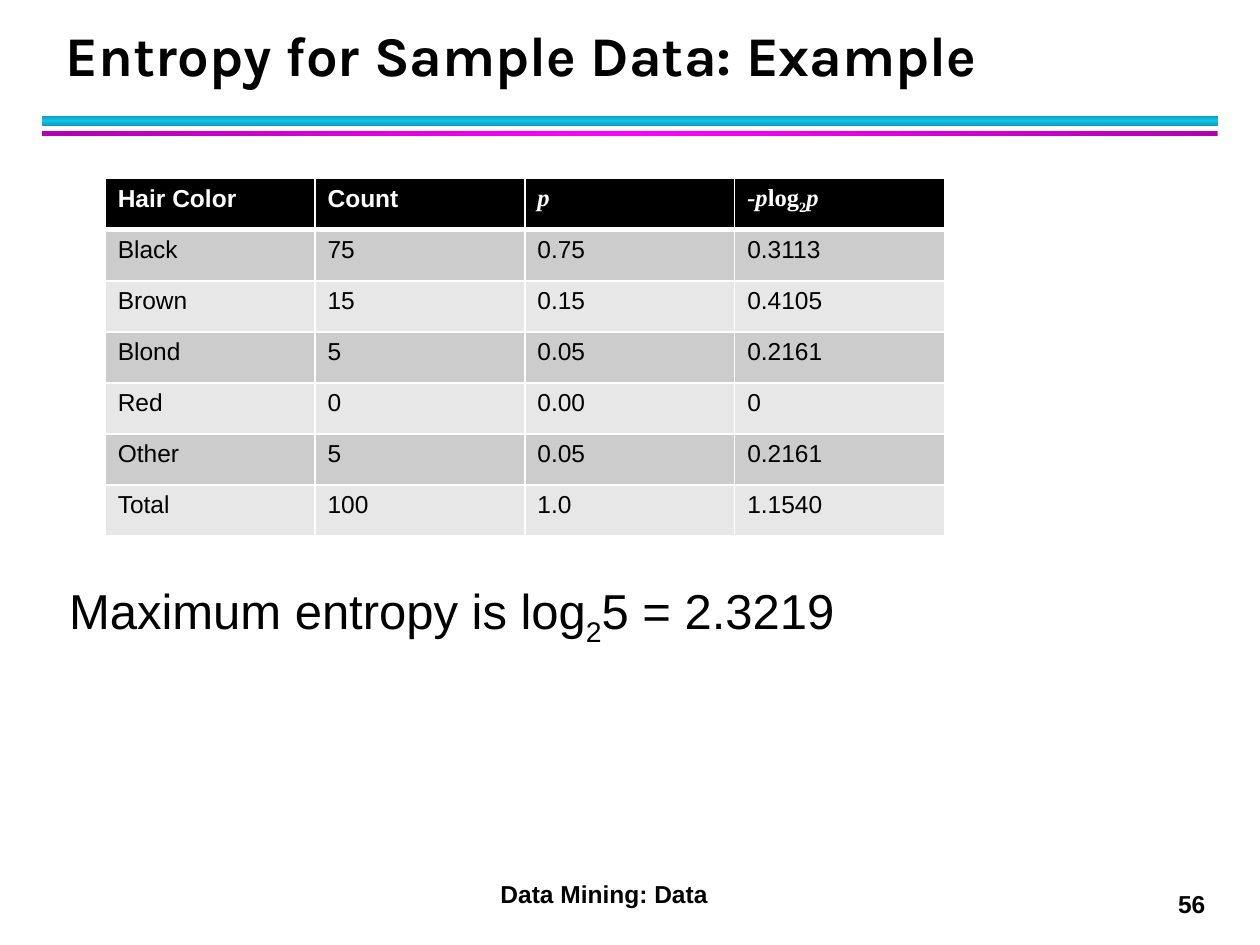
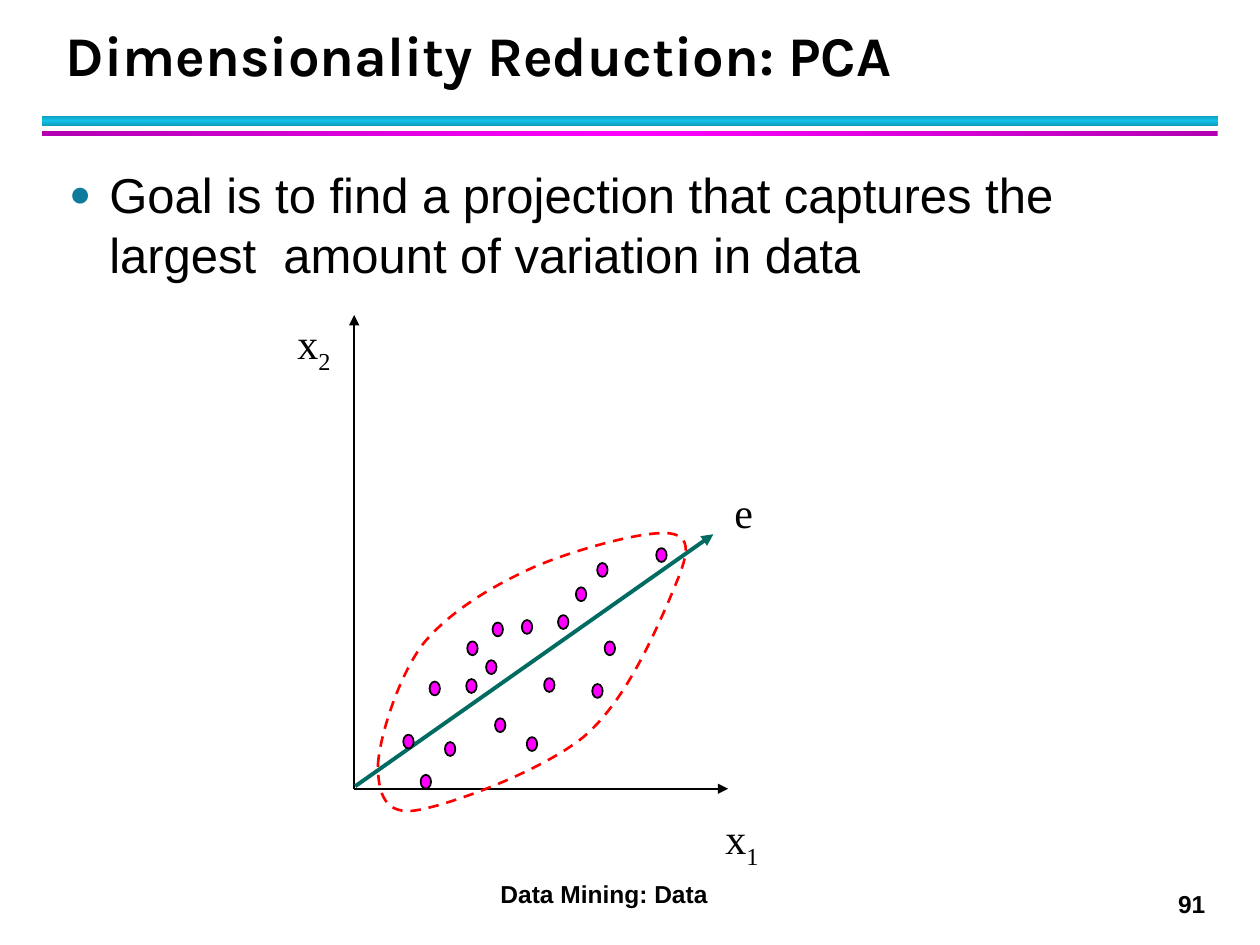
from lxml import etree
from pptx import Presentation
from pptx.dml.color import RGBColor
from pptx.enum.dml import MSO_LINE
from pptx.enum.shapes import MSO_CONNECTOR, MSO_SHAPE
from pptx.enum.text import MSO_ANCHOR, MSO_AUTO_SIZE, PP_ALIGN
from pptx.oxml.ns import qn
from pptx.util import Cm, Pt

RECTANGLE, ELLIPSE = MSO_SHAPE.RECTANGLE, MSO_SHAPE.OVAL
STRAIGHT = MSO_CONNECTOR.STRAIGHT
LEFT, CENTER = PP_ALIGN.LEFT, PP_ALIGN.CENTER
TOP, MIDDLE, BOTTOM = MSO_ANCHOR.TOP, MSO_ANCHOR.MIDDLE, MSO_ANCHOR.BOTTOM
NO_AUTOFIT = MSO_AUTO_SIZE.NONE
DASH = MSO_LINE.DASH

BLACK = RGBColor(0x00, 0x00, 0x00)
WHITE = RGBColor(0xFF, 0xFF, 0xFF)
RED = RGBColor(0xFF, 0x00, 0x00)
MAGENTA = RGBColor(0xFF, 0x00, 0xFF)
DARK_MAGENTA = RGBColor(0xB2, 0x00, 0xB2)
CYAN = RGBColor(0x12, 0xC2, 0xE9)
DARK_CYAN = RGBColor(0x0E, 0x9B, 0xBA)
BULLET_BLUE = RGBColor(0x0C, 0x7B, 0x9C)
TEAL = RGBColor(0x00, 0x6B, 0x61)
DARK_BAND = RGBColor(0xCC, 0xCC, 0xCC)
LIGHT_BAND = RGBColor(0xE7, 0xE7, 0xE7)

TITLE_FONT, BODY_FONT, MATH_FONT = "Karla", "Arial", "Times New Roman"
FOOTER = "Data Mining: Data"

BODY_TOP, BODY_BOTTOM = 3.18, 17.58

HAIR_COUNTS = [
    ("Black", "75", "0.75", "0.3113"),
    ("Brown", "15", "0.15", "0.4105"),
    ("Blond", "5", "0.05", "0.2161"),
    ("Red", "0", "0.00", "0"),
    ("Other", "5", "0.05", "0.2161"),
    ("Total", "100", "1.0", "1.1540"),
]
MATH_ITALIC = {"font": MATH_FONT, "italic": True}
ENTROPY_HEADER = [
    [("Hair Color", {})],
    [("Count", {})],
    [("p", MATH_ITALIC)],
    [("-p", MATH_ITALIC), ("log", {"font": MATH_FONT}),
     ("2", {"font": MATH_FONT, "subscript": True}), ("p", MATH_ITALIC)],
]

# Left and top of each sample, in cm
SAMPLES = [
    (8.66, 13.74), (9.42, 12.93), (8.13, 14.81), (9.8, 13.31), (9.4, 13.69),
    (10.97, 13.67), (10.62, 14.86), (9.98, 14.48), (10.52, 12.5),
    (12.19, 12.93), (13.23, 11.05), (8.97, 14.96), (11.25, 12.4),
    (12.04, 11.35), (9.93, 12.55), (11.61, 11.84), (11.94, 13.79),
    (8.48, 15.62),
]
# Start, then two control points and an end for each curve, in cm
CLOUD_OUTLINE = [
    (7.62, 15.42),
    (7.65, 14.86), (8.03, 13.64), (8.53, 12.98),
    (9.07, 12.32), (9.93, 11.81), (10.77, 11.43),
    (11.61, 11.07), (13.16, 10.64), (13.59, 10.77),
    (14.05, 10.9), (13.74, 11.48), (13.46, 12.17),
    (13.16, 12.83), (12.6, 14.15), (11.76, 14.86),
    (10.92, 15.54), (9.12, 16.21), (8.43, 16.33),
    (7.75, 16.46), (7.62, 15.98), (7.62, 15.42),
]


def add_xml(parent, tag, **attributes):
    return etree.SubElement(parent, qn(tag), attributes)


def place(shape, left, top, width, height):
    shape.left, shape.top = Cm(left), Cm(top)
    shape.width, shape.height = Cm(width), Cm(height)


def add_run(paragraph, text, size, font=BODY_FONT, color=BLACK, bold=False,
            italic=False, subscript=False):
    run = paragraph.add_run()
    run.text = text
    run.font.name, run.font.size = font, Pt(size)
    run.font.bold, run.font.italic = bold, italic
    run.font.color.rgb = color
    if subscript:
        run.font._element.set("baseline", "-25000")


def add_label(slide, runs, left, top, width, height, size, wrap=False,
              align=CENTER, anchor=TOP, **style):
    label = slide.shapes.add_textbox(Cm(left), Cm(top), Cm(width), Cm(height))
    frame = label.text_frame
    frame.word_wrap, frame.vertical_anchor = wrap, anchor
    paragraph = frame.paragraphs[0]
    paragraph.alignment = align
    for text, subscript in runs:
        add_run(paragraph, text, size, subscript=subscript, **style)


def add_band(slide, top, height, edge, middle, angle):
    """Add a full-width rule that fades from edge to middle and back."""
    band = slide.shapes.add_shape(RECTANGLE, Cm(0.85), Cm(top), Cm(23.7), Cm(height))
    band.shadow.inherit = False
    band.line.fill.background()
    band.fill.gradient()
    band.fill.gradient_angle = angle
    stops = band._element.spPr.find(".//" + qn("a:gsLst"))
    stops.clear()
    for position, color in ((0, edge), (50000, middle), (100000, edge)):
        stop = add_xml(stops, "a:gs", pos=str(position))
        add_xml(stop, "a:srgbClr", val=str(color))


def add_content_slide(deck, title, number):
    """Add a slide with its title, bands and footer."""
    slide = deck.slides.add_slide(deck.slide_layouts[1])
    add_band(slide, 2.33, 0.21, DARK_CYAN, CYAN, 90)
    add_band(slide, 2.64, 0.11, DARK_MAGENTA, MAGENTA, 0)
    add_label(slide, [(str(number), False)], 23.5, 17.8, 1.12, 0.86, 14,
              align=LEFT, bold=True)
    add_label(slide, [(FOOTER, False)], 7, 17.6, 10.36, 0.86, 14,
              wrap=True, bold=True)
    heading = slide.shapes.title
    place(heading, 1.07, 0.43, 23.01, 1.47)
    frame = heading.text_frame
    frame.auto_size, frame.vertical_anchor = NO_AUTOFIT, BOTTOM
    paragraph = frame.paragraphs[0]
    paragraph.alignment, paragraph.line_spacing = LEFT, Pt(36)
    add_run(paragraph, title, 32, TITLE_FONT, bold=True)
    return slide


def fill_body(slide, runs, top=BODY_TOP, bulleted=False):
    body = slide.placeholders[1]
    place(body, 1.14, top, 23.11, BODY_BOTTOM - top)
    body.text_frame.auto_size = NO_AUTOFIT
    paragraph = body.text_frame.paragraphs[0]
    paragraph.space_before, paragraph.space_after = Pt(0), Pt(4)
    paragraph.line_spacing = Pt(34)
    properties = paragraph._p.get_or_add_pPr()
    indent = Cm(0.81) if bulleted else 0
    properties.set("marL", str(indent))
    properties.set("indent", str(-indent))
    if bulleted:
        bullet_color = add_xml(properties, "a:buClr")
        add_xml(bullet_color, "a:srgbClr", val=str(BULLET_BLUE))
        add_xml(properties, "a:buSzPct", val="75000")
        add_xml(properties, "a:buFont", typeface=BODY_FONT)
        add_xml(properties, "a:buChar", char="●")
    else:
        add_xml(properties, "a:buNone")
    for text, subscript in runs:
        add_run(paragraph, text, 28, subscript=subscript)


def format_cell(cell, fill, top_width, bottom_width):
    properties = cell._tc.get_or_add_tcPr()
    widths = {"L": 1, "R": 1, "T": top_width, "B": bottom_width}
    for side, width in widths.items():
        border = add_xml(properties, "a:ln" + side, w=str(Pt(width)))
        add_xml(add_xml(border, "a:solidFill"), "a:srgbClr", val=str(WHITE))
    cell.fill.solid()
    cell.fill.fore_color.rgb = fill


def add_entropy_table(slide):
    rows = [ENTROPY_HEADER] + [[[(text, {})] for text in row] for row in HAIR_COUNTS]
    column_count = len(ENTROPY_HEADER)
    column_width, row_height = Cm(4.23), Cm(1.03)
    table = slide.shapes.add_table(
        len(rows), column_count, Cm(2.12), Cm(3.6),
        column_width * column_count, row_height * len(rows)).table
    table.horz_banding = False
    for column in table.columns:
        column.width = column_width
    for r, row in enumerate(rows):
        table.rows[r].height = row_height
        header = r == 0
        fill = BLACK if header else DARK_BAND if r % 2 else LIGHT_BAND
        for c, runs in enumerate(row):
            cell = table.cell(r, c)
            format_cell(cell, fill, 3 if r == 1 else 1, 3 if header else 1)
            for text, style in runs:
                add_run(cell.text_frame.paragraphs[0], text, 14,
                        color=WHITE if header else BLACK, bold=header, **style)


def add_arrow(slide, start, end, color, width):
    arrow = slide.shapes.add_connector(STRAIGHT, *map(Cm, start + end))
    arrow.line.color.rgb, arrow.line.width = color, Pt(width)
    add_xml(arrow.line._get_or_add_ln(), "a:tailEnd", type="triangle")
    add_xml(arrow._element.spPr, "a:effectLst")


def add_sample(slide, left, top):
    sample = slide.shapes.add_shape(ELLIPSE, Cm(left), Cm(top), Cm(0.21), Cm(0.28))
    sample.shadow.inherit = False
    sample.fill.solid()
    sample.fill.fore_color.rgb = MAGENTA
    sample.line.color.rgb, sample.line.width = BLACK, Pt(1)


def add_cloud_outline(slide):
    """Draw the dashed outline, turning each three line points into a curve."""
    start, *points = [(Cm(x), Cm(y)) for x, y in CLOUD_OUTLINE]
    builder = slide.shapes.build_freeform(*start)
    builder.add_line_segments(points, close=True)
    outline = builder.convert_to_shape()
    outline.shadow.inherit = False
    outline.fill.background()
    outline.line.color.rgb, outline.line.width = RED, Pt(1.5)
    outline.line.dash_style = DASH
    segments = list(outline._element.iter(qn("a:lnTo")))
    for i in range(0, len(points), 3):
        first, *others = segments[i:i + 3]
        curve = etree.Element(qn("a:cubicBezTo"))
        first.addprevious(curve)
        for segment in (first, *others):
            curve.append(segment[0])
            segment.getparent().remove(segment)


def add_pca_plot(slide):
    origin = (7.14, 15.9)
    add_arrow(slide, origin, (7.14, 6.35), BLACK, 1)
    add_arrow(slide, origin, (14.68, 15.9), BLACK, 1)
    add_arrow(slide, (7.16, 15.85), (14.38, 10.77), TEAL, 2.25)
    add_cloud_outline(slide)
    for left, top in SAMPLES:
        add_sample(slide, left, top)
    for runs, left, top, width in (
            ([("x", False), ("2", True)], 5.72, 6.35, 1.22),
            ([("x", False), ("1", True)], 14.35, 16.33, 1.22),
            ([("e", False)], 14.55, 9.68, 0.89)):
        add_label(slide, runs, left, top, width, 1.27, 24, anchor=MIDDLE,
                  font=MATH_FONT)


def main():
    deck = Presentation()
    deck.slide_width, deck.slide_height = Cm(25.4), Cm(19.05)

    entropy = add_content_slide(deck, "Entropy for Sample Data: Example", 56)
    fill_body(entropy, [("Maximum entropy is log", False), ("2", True),
                        ("5 = 2.3219", False)], top=11.73)
    add_entropy_table(entropy)

    pca = add_content_slide(deck, "Dimensionality Reduction: PCA", 91)
    fill_body(pca, [("Goal is to find a projection that captures the "
                     "largest  amount of variation in data", False)], bulleted=True)
    add_pca_plot(pca)

    deck.save("out.pptx")


if __name__ == "__main__":
    main()
